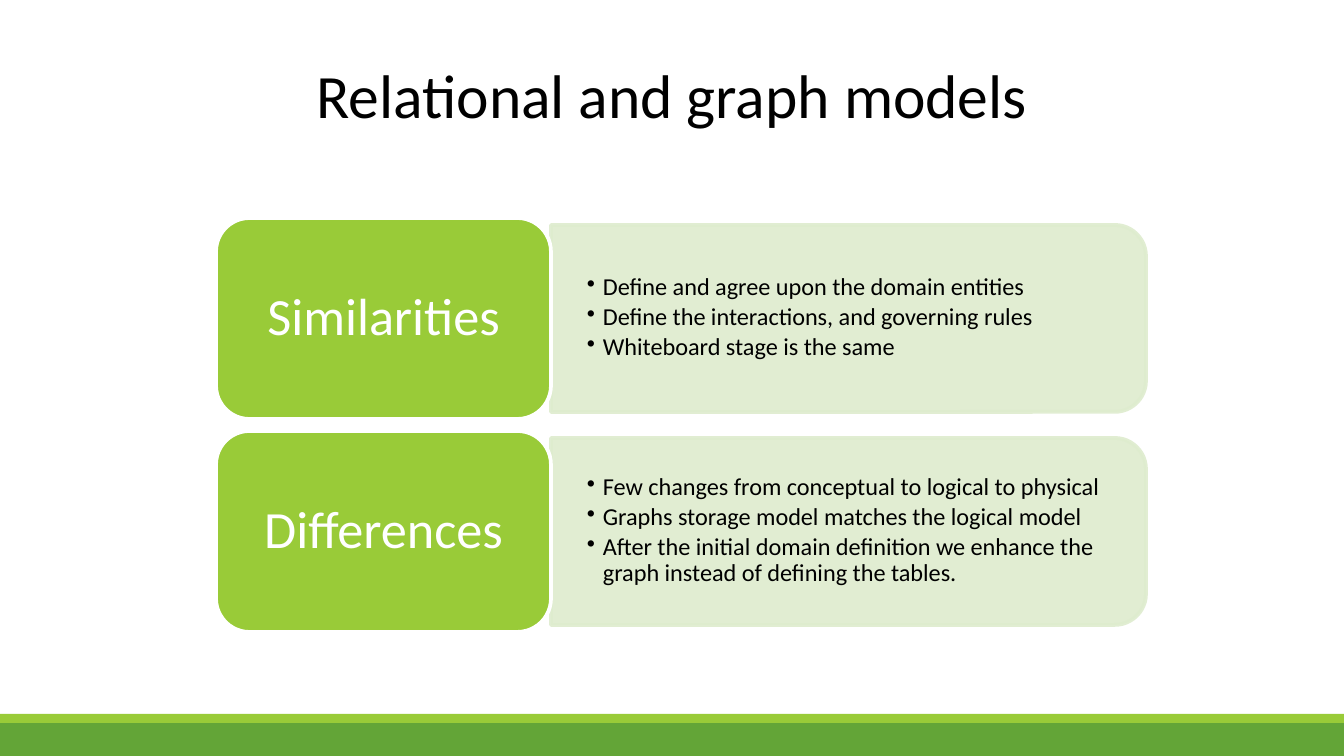
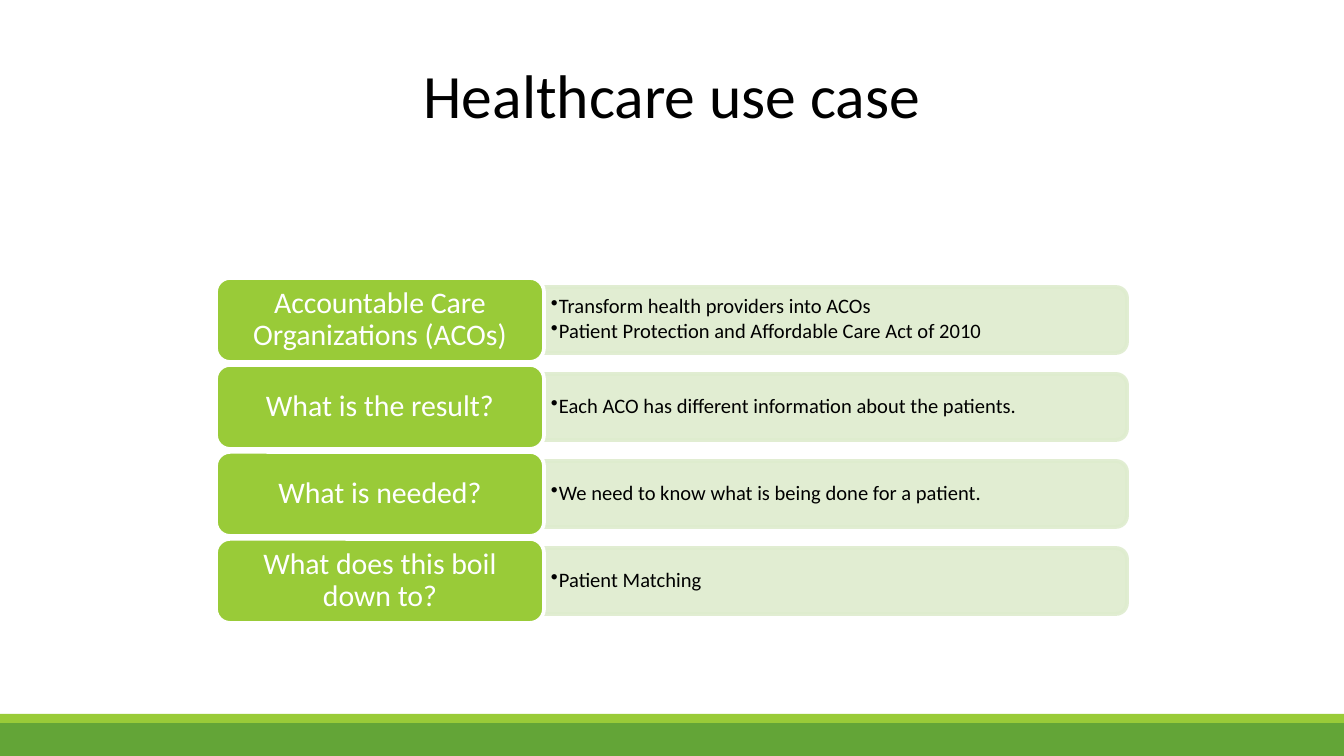
from dataclasses import dataclass
from typing import NamedTuple

from lxml.etree import SubElement
from pptx import Presentation
from pptx.dml.color import RGBColor
from pptx.enum.shapes import MSO_SHAPE as Preset
from pptx.enum.text import MSO_ANCHOR as Anchor, PP_ALIGN as Align
from pptx.oxml.ns import qn
from pptx.util import Emu, Pt

PIXELS_PER_INCH = 134.4
PAGE_WIDTH, PAGE_HEIGHT = 1344, 756
FONT = "Calibri"
BLACK, WHITE = "000000", "FFFFFF"
LIME, GREEN, PALE = "99CB38", "63A537", "DEECCE"
LABEL_LEFT = 216


class Box(NamedTuple):
    left: int
    top: int
    width: int
    height: int

    def shrink(self, margin: int) -> "Box":
        return Box(self.left + margin, self.top + margin,
                   self.width - 2 * margin, self.height - 2 * margin)


class Band(NamedTuple):
    box: Box
    colour: str


class TextStyle(NamedTuple):
    size: int
    colour: str
    inset_x: int
    inset_y: int
    align: Align = Align.CENTER
    line_spacing: float = 0.9
    space_after: float = 0
    indent: int = 0


class Row(NamedTuple):
    label: str
    points: list[str]


@dataclass
class ListLayout:
    top: int
    pitch: int
    label_width: int
    label_height: int
    label_margin: int
    panel_width: int
    panel_height: int
    text_width: int
    text_height: int
    label_style: TextStyle
    point_style: TextStyle


@dataclass
class ListPage:
    title: str
    layout: ListLayout
    rows: list[Row]


BANDS = [
    Band(Box(0, 722, PAGE_WIDTH, 34), GREEN),
    Band(Box(0, 714, PAGE_WIDTH, 9), LIME),
]
TITLE_BOX = Box(67, 31, 1210, 126)
TITLE_STYLE = TextStyle(33, BLACK, 13, 7, line_spacing=1)

LARGE = ListLayout(
    top=218, pitch=213, label_width=335, label_height=201, label_margin=10,
    panel_width=595, panel_height=187, text_width=587, text_height=168,
    label_style=TextStyle(28, WHITE, 16, 8),
    point_style=TextStyle(13, BLACK, 36, 18, Align.LEFT, space_after=0.15, indent=16),
)
SMALL = ListLayout(
    top=278, pitch=87, label_width=328, label_height=84, label_margin=4,
    panel_width=583, panel_height=66, text_width=581, text_height=59,
    label_style=TextStyle(16, WHITE, 9, 4),
    point_style=TextStyle(11, BLACK, 7, 3, Align.LEFT, space_after=0.15, indent=8),
)

PAGES = [
    ListPage("Relational and graph models", LARGE, [
        Row("Similarities", [
            "Define and agree upon the domain entities",
            "Define the interactions, and governing rules",
            "Whiteboard stage is the same",
        ]),
        Row("Differences", [
            "Few changes from conceptual to logical to physical",
            "Graphs storage model matches the logical model",
            "After the initial domain definition we enhance the graph "
            "instead of defining the tables.",
        ]),
    ]),
    ListPage("Healthcare use case", SMALL, [
        Row("Accountable Care Organizations (ACOs)", [
            "Transform health providers into ACOs",
            "Patient Protection and Affordable Care Act of 2010",
        ]),
        Row("What is the result?",
            ["Each ACO has different information about the patients."]),
        Row("What is needed?",
            ["We need to know what is being done for a patient."]),
        Row("What does this boil down to?", ["Patient Matching"]),
    ]),
]


def px(length: float) -> Emu:
    return Emu(round(length * 914400 / PIXELS_PER_INCH))


def hex_colour(value: str) -> RGBColor:
    return RGBColor.from_string(value)


def add_block(page, preset: Preset, box: Box, fill: str, line: str | None = None):
    shape = page.shapes.add_shape(preset, *map(px, box))
    shape.shadow.inherit = False
    shape.fill.solid()
    shape.fill.fore_color.rgb = hex_colour(fill)
    if line:
        shape.line.color.rgb = hex_colour(line)
        shape.line.width = Pt(2)
    else:
        shape.line.fill.background()
    return shape


def add_bullet(para, indent: int) -> None:
    properties = para._p.get_or_add_pPr()
    properties.set("marL", str(px(indent)))
    properties.set("indent", str(-px(indent)))
    SubElement(properties, qn("a:buChar"), char="•")


def add_text(page, box: Box, lines: list[str], style: TextStyle) -> None:
    frame = page.shapes.add_textbox(*map(px, box)).text_frame
    frame.word_wrap = True
    frame.vertical_anchor = Anchor.MIDDLE
    frame.margin_left = frame.margin_right = px(style.inset_x)
    frame.margin_top = frame.margin_bottom = px(style.inset_y)
    for index, line in enumerate(lines):
        para = frame.add_paragraph() if index else frame.paragraphs[0]
        if style.indent:
            add_bullet(para, style.indent)
        para.alignment = style.align
        para.line_spacing = style.line_spacing
        para.space_after = Pt(style.size * style.space_after)
        span = para.add_run()
        span.text = line
        span.font.name = FONT
        span.font.size = Pt(style.size)
        span.font.color.rgb = hex_colour(style.colour)


def add_panel(page, box: Box) -> None:
    left = box.left + (box.width - box.height) / 2
    top = box.top + (box.height - box.width) / 2
    upright = Box(left, top, box.height, box.width)
    panel = add_block(page, Preset.ROUND_2_SAME_RECTANGLE, upright, PALE, PALE)
    panel.rotation = 90
    for colour in panel._element.spPr.iter(qn("a:srgbClr")):
        SubElement(colour, qn("a:alpha"), val="90000")


def add_row(page, layout: ListLayout, top: int, row: Row) -> None:
    label = Box(LABEL_LEFT, top, layout.label_width, layout.label_height)
    right = label.left + label.width

    def beside_label(width: int, height: int) -> Box:
        return Box(right, top + (label.height - height) // 2, width, height)

    add_panel(page, beside_label(layout.panel_width, layout.panel_height))
    add_text(page, beside_label(layout.text_width, layout.text_height),
             row.points, layout.point_style)
    add_block(page, Preset.ROUNDED_RECTANGLE, label, LIME, WHITE)
    add_text(page, label.shrink(layout.label_margin), [row.label], layout.label_style)


def add_page(deck, content: ListPage) -> None:
    page = deck.slides.add_slide(deck.slide_layouts[6])
    for band in BANDS:
        add_block(page, Preset.RECTANGLE, band.box, band.colour)
    add_text(page, TITLE_BOX, [content.title], TITLE_STYLE)
    layout = content.layout
    for index, row in enumerate(content.rows):
        add_row(page, layout, layout.top + index * layout.pitch, row)


def main() -> None:
    deck = Presentation()
    deck.slide_width, deck.slide_height = px(PAGE_WIDTH), px(PAGE_HEIGHT)
    for content in PAGES:
        add_page(deck, content)
    deck.save("out.pptx")


if __name__ == "__main__":
    main()
